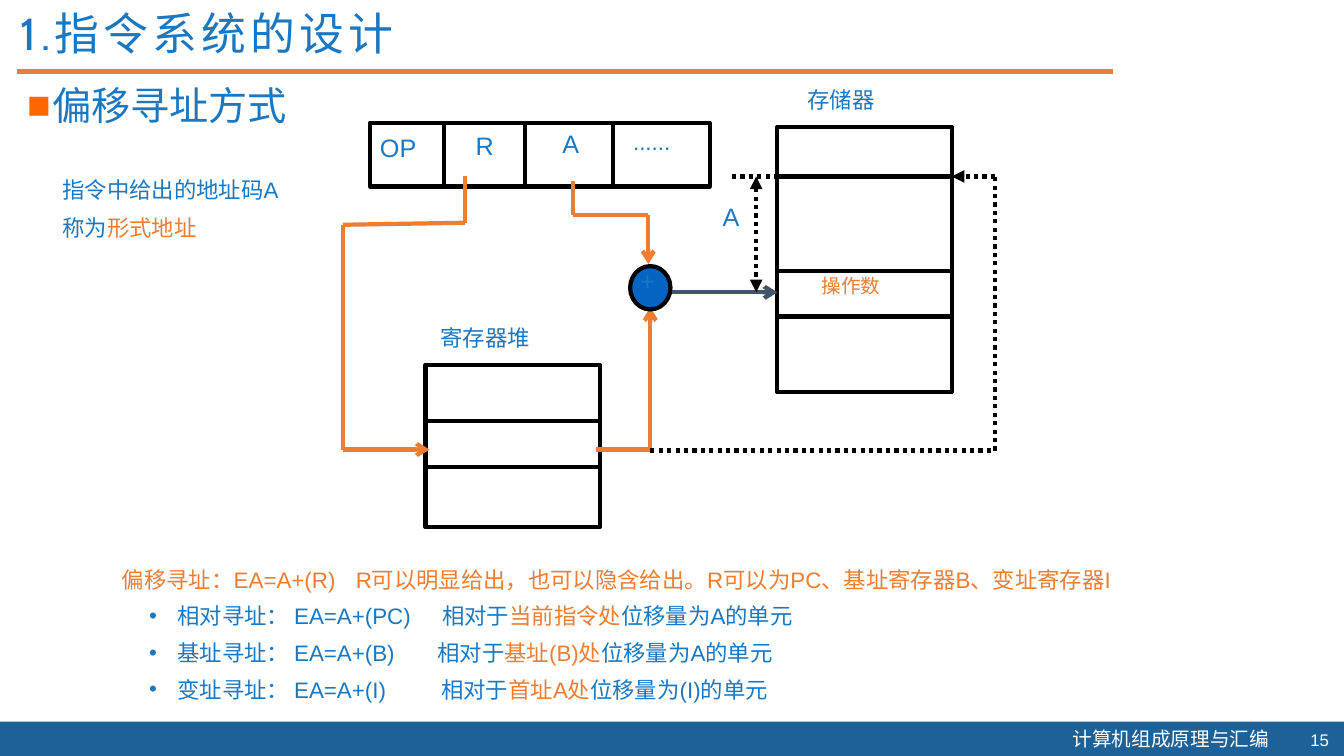
from itertools import pairwise

from lxml.etree import SubElement
from pptx import Presentation
from pptx.dml.color import RGBColor
from pptx.enum.dml import MSO_LINE
from pptx.enum.shapes import MSO_CONNECTOR, MSO_SHAPE
from pptx.enum.text import MSO_ANCHOR, PP_ALIGN
from pptx.oxml.ns import qn
from pptx.util import Inches, Pt

BLUE = RGBColor(0x1A, 0x78, 0xC3)
ORANGE = RGBColor(0xED, 0x7D, 0x31)
BLACK = RGBColor(0, 0, 0)
WHITE = RGBColor(255, 255, 255)
NAVY = RGBColor(0x1C, 0x62, 0x99)
SLATE = RGBColor(0x44, 0x54, 0x6A)
DISC = RGBColor(0x05, 0x63, 0xC1)


# Basic parts
def shape(slide, kind, x, y, w, h, fill=None, line=None):
    part = slide.shapes.add_shape(kind, Inches(x), Inches(y), Inches(w), Inches(h))
    part.shadow.inherit = False
    if fill is None:
        part.fill.background()
    else:
        part.fill.solid()
        part.fill.fore_color.rgb = fill
    if line is None:
        part.line.fill.background()
    else:
        part.line.color.rgb = line
        part.line.width = Pt(3)
    return part


def wire(slide, points, color=BLACK, dots=False, head=None, tail=None):
    """Join the points with straight lines; arrowheads sit at the two ends."""
    legs = list(pairwise(points))
    for i, (start, end) in enumerate(legs):
        ends = [Inches(v) for v in (*start, *end)]
        leg = slide.shapes.add_connector(MSO_CONNECTOR.STRAIGHT, *ends)
        leg.line.color.rgb = color
        leg.line.width = Pt(3)
        if dots:
            leg.line.dash_style = MSO_LINE.ROUND_DOT
        pen = leg.line._get_or_add_ln()
        if head and i == 0:
            SubElement(pen, qn("a:headEnd"), type=head)
        if tail and i == len(legs) - 1:
            SubElement(pen, qn("a:tailEnd"), type=tail)
        SubElement(leg._element.spPr, qn("a:effectLst"))


def frame(slide, x, y, w, h, tight=False):
    text = slide.shapes.add_textbox(Inches(x), Inches(y), Inches(w), Inches(h)).text_frame
    text.word_wrap = True
    if tight:
        text.margin_left = text.margin_right = Inches(0.07)
        text.margin_top = text.margin_bottom = Inches(0.03)
    return text


def write(para, parts, size, font="Arial"):
    """Add (text, color) parts as runs."""
    for words, color in parts:
        run = para.add_run()
        run.text = words
        run.font.size = Pt(size)
        run.font.name = font
        run.font.color.rgb = color


def label(slide, words, x, y, w, h, size=18, color=BLUE, font="Arial", tight=False):
    text = frame(slide, x, y, w, h, tight)
    write(text.paragraphs[0], [(words, color)], size, font)
    return text


def bullet(para, mark, left, hang, color=None):
    props = para._p.get_or_add_pPr()
    props.set("marL", str(Inches(left)))
    props.set("indent", str(-Inches(hang)))
    if color is not None:
        tint = SubElement(props, qn("a:buClr"))
        SubElement(tint, qn("a:srgbClr"), val=str(color))
    SubElement(props, qn("a:buFont"), typeface="Arial")
    SubElement(props, qn("a:buChar"), char=mark)


def track(run, points):
    run.font._element.set("spc", str(points * 100))


# Regions
def header(slide, x, y, w):
    text = label(slide, "1.指令系统的设计", x - 0.06, y, 10.65, 0.48, 32, font="Cabin")
    para = text.paragraphs[0]
    para.line_spacing = 0.9
    track(para.runs[0], 3)
    wire(slide, [(x, y + 0.64), (x + w, y + 0.64)], ORANGE)
    text = label(slide, "偏移寻址方式", x, y + 0.69, 12.94, 0.66, 28)
    bullet(text.paragraphs[0], "■", 0.25, 0.25, RGBColor(0xFF, 0x66, 0))


def footer(slide, x, y, w, h):
    shape(slide, MSO_SHAPE.RECTANGLE, x, y, w, h, NAVY)
    label(slide, "计算机组成原理与汇编", x + 10.54, y, 2.18, h, 14, WHITE, "Noto Sans CJK SC")
    text = label(slide, "15", x + 12.78, y + 0.03, 0.5, 0.3, 12, WHITE)
    text.vertical_anchor = MSO_ANCHOR.MIDDLE
    text.paragraphs[0].alignment = PP_ALIGN.RIGHT


def remark(slide, x, y, w, h):
    text = frame(slide, x, y, w, h, tight=True)
    write(text.paragraphs[0], [("指令中给出的地址码A", BLUE)], 16)
    para = text.add_paragraph()
    para.space_before = Pt(8)
    write(para, [("称为", BLUE), ("形式地址", ORANGE)], 16)


def opcode(slide, x, y, w, h):
    shape(slide, MSO_SHAPE.RECTANGLE, x, y, w, h, line=BLACK)
    for step in (0.73, 1.54, 2.41):
        wire(slide, [(x + step, y), (x + step, y + h)])
    for words, dx, dy, wide in (("OP", 0, 0.04, 0.65), ("R", 0.95, 0.02, 0.46), ("A", 1.81, 0, 0.46)):
        label(slide, words, x + dx, y + dy, wide, 0.4)
    label(slide, "......", x + 2.54, y + 0.02, 0.84, 0.33, 16, tight=True)


def store(slide, name, x, y, w, h, rows, inset):
    """A block of cells with its name above."""
    shape(slide, MSO_SHAPE.RECTANGLE, x, y, w, h, line=BLACK)
    for row in rows:
        wire(slide, [(x, y + row), (x + w, y + row)])
    label(slide, name, x + inset, y - 0.45, w, 0.37, 16)


def adder(slide, x, y, w, h):
    shape(slide, MSO_SHAPE.OVAL, x, y, w, h, DISC, BLACK)
    label(slide, "+", x, y - 0.06, w, 0.4)


def wiring(slide, x, y):
    """Signal paths, placed from the top left corner of the instruction."""
    def at(*points):
        return [(x + dx, y + dy) for dx, dy in points]

    # R to the registers, A to the adder, registers to the adder
    wire(slide, at((0.94, 0.53), (0.94, 0.99), (-0.27, 1.01), (-0.27, 3.24), (0.59, 3.24)),
         ORANGE, tail="arrow")
    wire(slide, at((2.01, 0.58), (2.01, 0.91), (2.76, 0.91), (2.76, 1.4)), ORANGE, tail="arrow")
    wire(slide, at((2.24, 3.24), (2.78, 3.24), (2.78, 1.83)), ORANGE, tail="arrow")
    wire(slide, at((2.97, 1.68), (4.04, 1.68)), SLATE, tail="arrow")
    # Base address and offset
    wire(slide, at((2.78, 3.25), (6.2, 3.25), (6.2, 0.53), (5.77, 0.53)), dots=True, tail="triangle")
    wire(slide, at((3.59, 0.53), (4.04, 0.53)), dots=True)
    wire(slide, at((3.83, 0.53), (3.83, 1.68)), dots=True, head="triangle", tail="triangle")
    label(slide, "A", x + 3.4, y + 0.73, 0.57, 0.4)


def summary(slide, x, y, w, h):
    text = frame(slide, x, y, w, h, tight=True)
    lead = text.paragraphs[0]
    lead.line_spacing = 1.2
    write(lead, [("偏移寻址：EA=A+(R)", ORANGE), (" ", ORANGE),
                 ("R可以明显给出，也可以隐含给出。R可以为PC、基址寄存器B、变址寄存器I", ORANGE)], 16)
    track(lead.runs[1], 10)
    modes = (
        ("相对寻址： EA=A+(PC)", 18, "当前指令处", "位移量为A的单元"),
        ("基址寻址： EA=A+(B)", 26, "基址(B)处", "位移量为A的单元"),
        ("变址寻址： EA=A+(I)", 35, "首址A处", "位移量为(I)的单元"),
    )
    for rule, gap, base, rest in modes:
        para = text.add_paragraph()
        para.line_spacing = 1.2
        para.space_before = Pt(3.2)
        bullet(para, "•", 0.55, 0.28)
        write(para, [(rule, BLUE), (" ", BLUE), ("相对于", BLUE), (base, ORANGE), (rest, BLUE)], 16)
        track(para.runs[1], gap)


def main():
    deck = Presentation()
    deck.slide_width, deck.slide_height = Inches(13.33), Inches(7.5)
    slide = deck.slides.add_slide(deck.slide_layouts[6])
    footer(slide, 0, 7.16, 13.33, 0.34)
    header(slide, 0.17, 0.07, 10.87)
    remark(slide, 0.55, 1.72, 2.59, 0.73)
    opcode(slide, 3.67, 1.22, 3.37, 0.63)
    store(slide, "存储器", 7.71, 1.26, 1.73, 2.63, (0.49, 1.43, 1.88), 0.2)
    label(slide, "操作数", 8.05, 2.67, 1.11, 0.34, 14, ORANGE)
    store(slide, "寄存器堆", 4.22, 3.62, 1.73, 1.61, (0.56, 1.01), 0.05)
    wiring(slide, 3.67, 1.22)
    adder(slide, 6.25, 2.64, 0.4, 0.43)
    summary(slide, 1.14, 5.53, 10.97, 1.48)
    deck.save("out.pptx")


if __name__ == "__main__":
    main()
